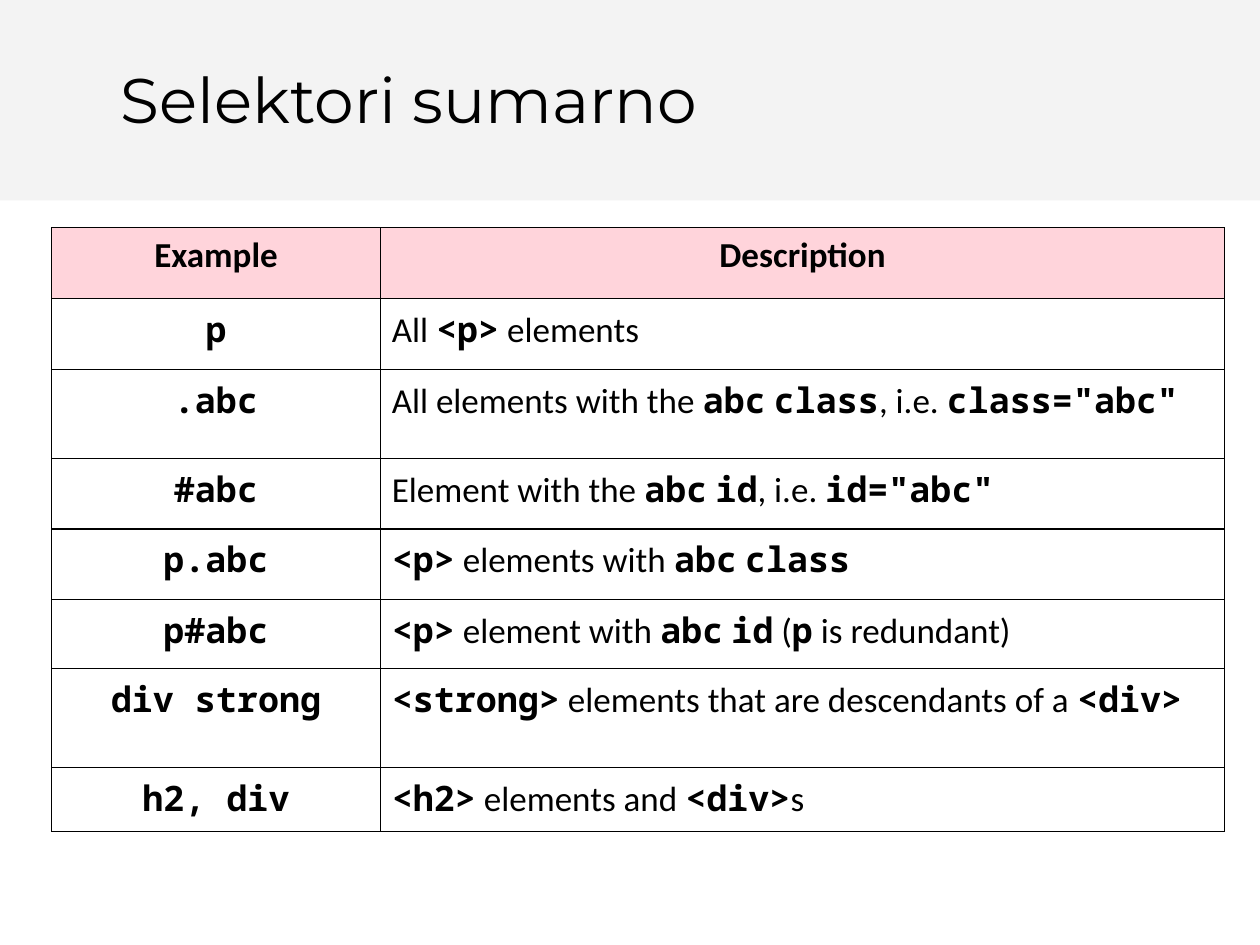
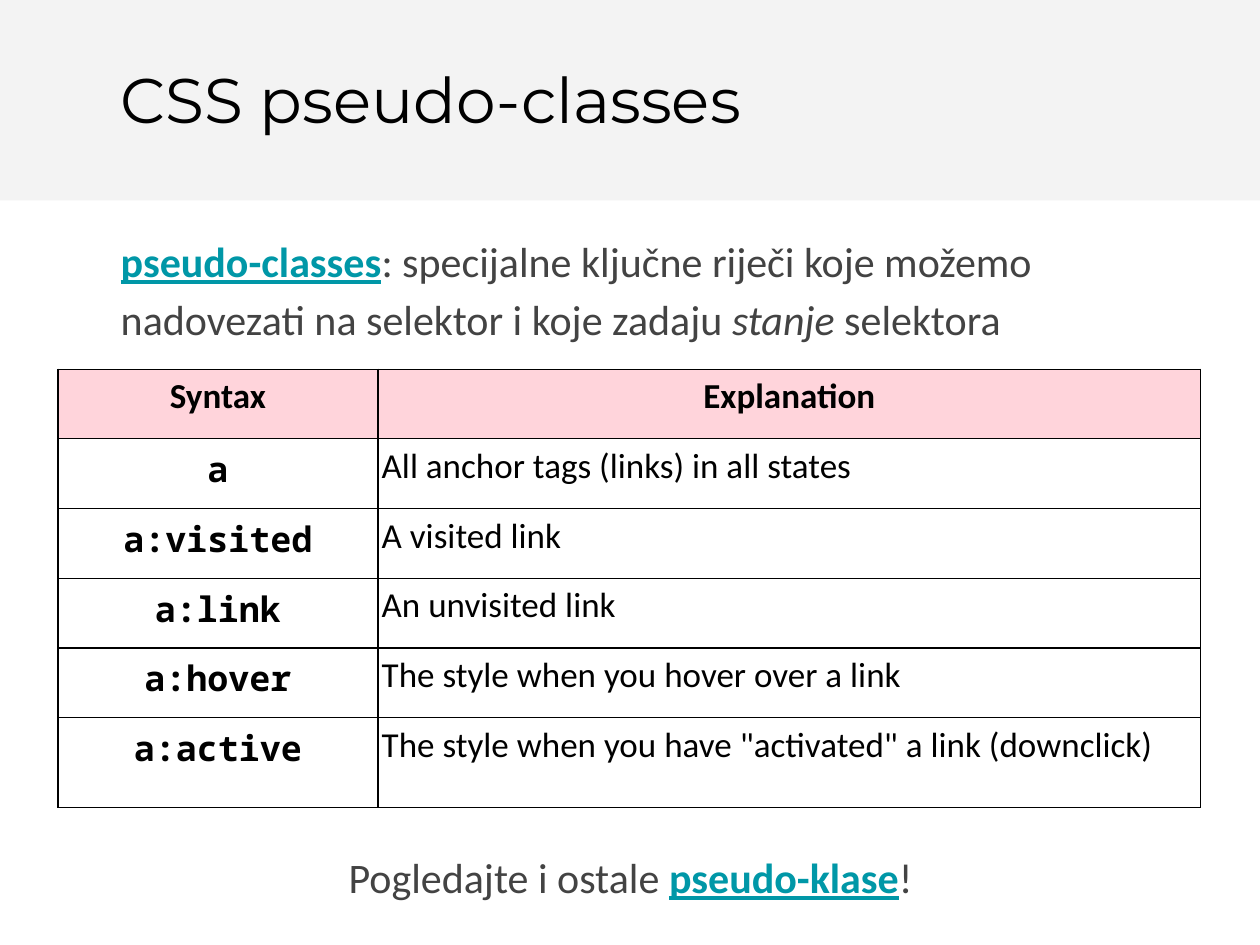
from lxml import etree
from pptx import Presentation
from pptx.dml.color import RGBColor
from pptx.enum.shapes import MSO_SHAPE
from pptx.enum.text import MSO_ANCHOR, PP_ALIGN
from pptx.oxml.ns import qn
from pptx.util import Inches, Pt

RECT = MSO_SHAPE.RECTANGLE
TOP = MSO_ANCHOR.TOP
LEFT, CENTER = PP_ALIGN.LEFT, PP_ALIGN.CENTER

WIDE, HIGH = 10, 7.5
BLACK, GRAY, TEAL = "000000", "434343", "0097A7"
BAND, PINK = "F3F3F3", "FFC2CC"
SANS, MONO, HEAD = "Calibri", "Noto Sans Mono", "Montserrat"

# Text styles: font, size, colour, bold, italic, underline
STYLES = {
    "title": (HEAD, 36, BLACK, False, False, False),
    "body": (SANS, 24, GRAY, False, False, False),
    "stress": (SANS, 24, GRAY, False, True, False),
    "link": (SANS, 24, TEAL, True, False, True),
    "head": (SANS, 20, BLACK, True, False, False),
    "cell": (SANS, 20, BLACK, False, False, False),
    "code": (MONO, 20, BLACK, True, False, False),
}

# Left and width, in percent of the slide, shared by all text boxes
TEXT_X, TEXT_W = 8.6, 82.9


def color(code):
    return RGBColor.from_string(code)


def across(share):
    """Length of a percentage of the slide's width."""
    return Inches(WIDE * share / 100)


def down(share):
    """Length of a percentage of the slide's height."""
    return Inches(HIGH * share / 100)


def write(par, parts, align=LEFT):
    """Fill a paragraph with (text, style) parts."""
    par.alignment = align
    for text, style in parts:
        run = par.add_run()
        run.text = text
        font = run.font
        (font.name, size, tint,
         font.bold, font.italic, font.underline) = STYLES[style]
        font.size = Pt(size)
        font.color.rgb = color(tint)


def marked(text):
    """Split text at backticks: every second part is code."""
    parts = enumerate(text.split("`"))
    return [(part, "code" if i % 2 else "cell") for i, part in parts if part]


def add_text(slide, top, high, parts, align=LEFT, spacing=None):
    box = slide.shapes.add_textbox(
        across(TEXT_X), down(top), across(TEXT_W), down(high))
    frame = box.text_frame
    frame.word_wrap = True
    frame.vertical_anchor = TOP
    frame.margin_left = frame.margin_right = Inches(0.1)
    frame.margin_top = frame.margin_bottom = Inches(0.1)
    par = frame.paragraphs[0]
    par.line_spacing = spacing
    write(par, parts, align)


def add_page(deck, title):
    """Blank slide with the gray band and its title."""
    slide = deck.slides.add_slide(deck.slide_layouts[6])
    band = slide.shapes.add_shape(RECT, 0, 0, across(100), down(21.2))
    band.shadow.inherit = False
    band.fill.solid()
    band.fill.fore_color.rgb = color(BAND)
    band.line.fill.background()
    add_text(slide, 5.07, 11.07, [(title, "title")])
    return slide


def add_edges(cell):
    props = cell._tc.get_or_add_tcPr()
    for side in ("lnL", "lnR", "lnT", "lnB"):
        line = etree.SubElement(props, qn(f"a:{side}"), w=str(Pt(0.75)))
        fill = etree.SubElement(line, qn("a:solidFill"))
        etree.SubElement(fill, qn("a:srgbClr"), val=BLACK)


def tint_cell(cell, code, share):
    """Fill a cell with a colour at a share of full opacity."""
    cell.fill.solid()
    cell.fill.fore_color.rgb = color(code)
    tone = cell._tc.tcPr.find(qn("a:solidFill")).find(qn("a:srgbClr"))
    etree.SubElement(tone, qn("a:alpha"), val=str(share * 1000))


def add_grid(slide, left, top, cols, rows, lines, indent):
    """Table with a pink head row, a code column and a text column."""
    grid = slide.shapes.add_table(
        len(rows), len(cols), across(left), down(top),
        across(sum(cols)), down(sum(rows))).table
    grid.first_row = grid.horz_banding = False
    for col, share in zip(grid.columns, cols):
        col.width = across(share)
    for row, share in zip(grid.rows, rows):
        row.height = down(share)
    for r, line in enumerate(lines):
        for c, text in enumerate(line):
            cell = grid.cell(r, c)
            add_edges(cell)
            cell.margin_left = cell.margin_right = Inches(0.03)
            cell.margin_top = cell.margin_bottom = Inches(0.05)
            par = cell.text_frame.paragraphs[0]
            if r == 0:
                tint_cell(cell, PINK, 70)
                write(par, [(text, "head")], CENTER)
                continue
            cell.fill.background()
            if c == 0:
                write(par, [(text, "code")], CENTER)
            else:
                cell.margin_left = Inches(indent)
                write(par, marked(text))


SELECTORS = [
    ("Example", "Description"),
    ("p", "All `<p>` elements"),
    (".abc", 'All elements with the `abc` `class`, i.e. `class="abc"`'),
    ("#abc", 'Element with the `abc` `id`, i.e. `id="abc"`'),
    ("p.abc", "`<p>` elements with `abc` `class`"),
    ("p#abc", "`<p>` element with `abc` `id` (`p` is redundant)"),
    ("div strong", "`<strong>` elements that are descendants of a `<div>`"),
    ("h2, div", "`<h2>` elements and `<div>`s"),
]

STATES = [
    ("Syntax", "Explanation"),
    ("a", "All anchor tags (links) in all states"),
    ("a:visited", "A visited link"),
    ("a:link", "An unvisited link"),
    ("a:hover", "The style when you hover over a link"),
    ("a:active", 'The style when you have "activated" a link (downclick)'),
]


def main():
    deck = Presentation()
    deck.slide_width, deck.slide_height = Inches(WIDE), Inches(HIGH)

    # Summary of selectors
    page = add_page(deck, "Selektori sumarno")
    rows = [7.5, 7.5, 9.4, 7.5, 7.5, 7.3, 10.4, 6.8]
    add_grid(page, 4.1, 24.1, [26.1, 67], rows, SELECTORS, 0.09)

    # Pseudo-classes
    page = add_page(deck, "CSS pseudo-classes")
    add_text(page, 22.8, 21.47, [
        ("pseudo-classes", "link"),
        (": specijalne ključne riječi koje možemo nadovezati na selektor"
         " i koje zadaju ", "body"),
        ("stanje ", "stress"),
        ("selektora", "body"),
    ], spacing=1.15)
    rows = [7.38] * 5 + [9.47]
    add_grid(page, 4.6, 39.07, [25.4, 65.3], rows, STATES, 0.03)
    add_text(page, 88, 11.07, [
        ("Pogledajte i ostale ", "body"),
        ("pseudo-klase", "link"),
        ("!", "body"),
    ], CENTER, 1.15)

    deck.save("out.pptx")


if __name__ == "__main__":
    main()
